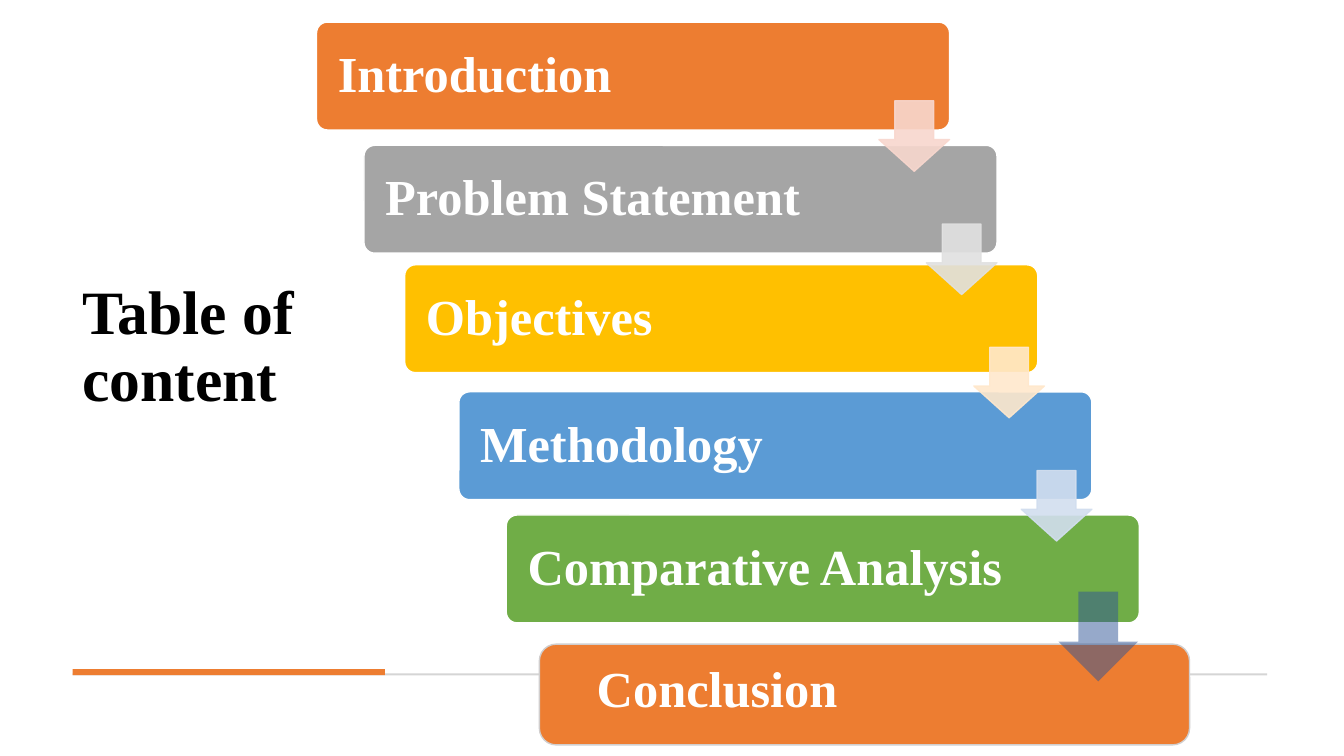
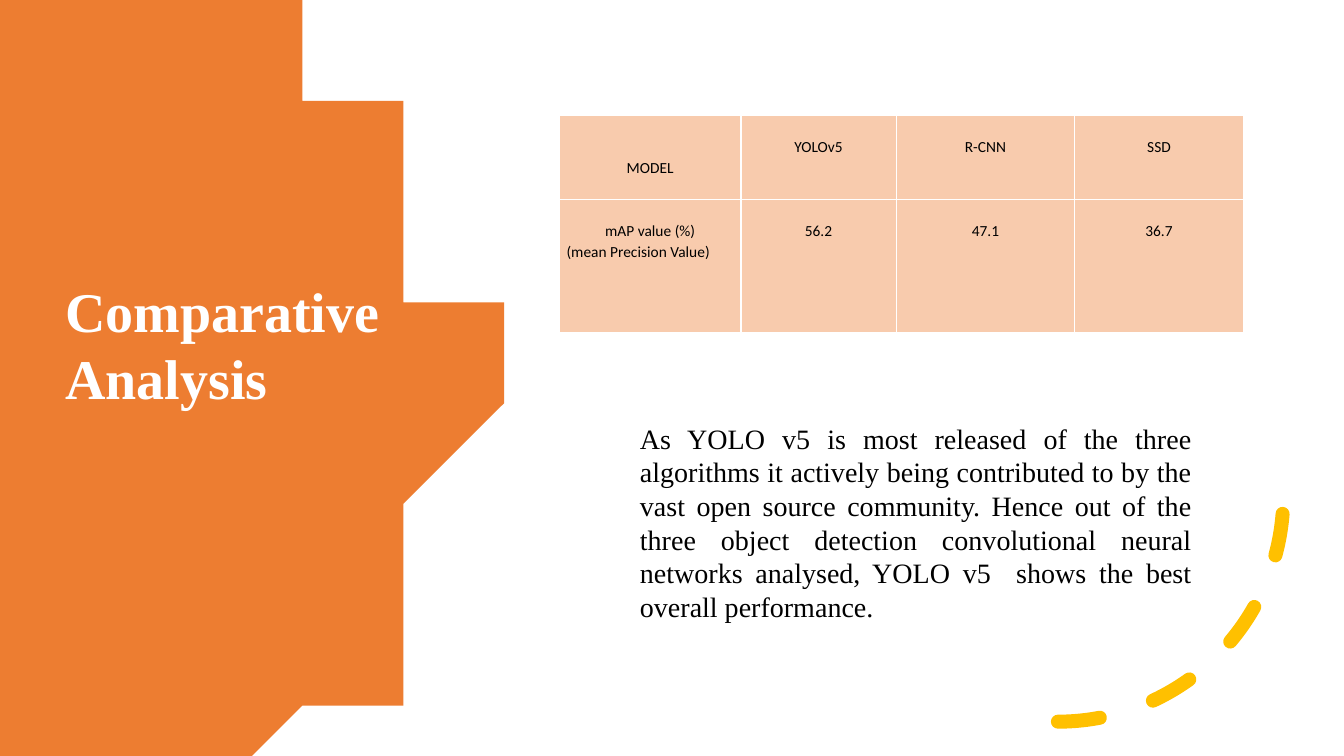
from math import asin, cos, sin

from lxml import etree
from pptx import Presentation
from pptx.dml.color import RGBColor
from pptx.enum.dml import MSO_LINE
from pptx.enum.shapes import MSO_SHAPE
from pptx.enum.text import MSO_ANCHOR, PP_ALIGN
from pptx.oxml.ns import qn
from pptx.util import Inches, Pt

RECTANGLE, ROUNDED = MSO_SHAPE.RECTANGLE, MSO_SHAPE.ROUNDED_RECTANGLE
DOWN_ARROW, ARC = MSO_SHAPE.DOWN_ARROW, MSO_SHAPE.ARC
MIDDLE, TOP = MSO_ANCHOR.MIDDLE, MSO_ANCHOR.TOP
LEFT, CENTER, JUSTIFY = PP_ALIGN.LEFT, PP_ALIGN.CENTER, PP_ALIGN.JUSTIFY

BLACK = RGBColor(0x00, 0x00, 0x00)
WHITE = RGBColor(0xFF, 0xFF, 0xFF)
ORANGE = RGBColor(0xED, 0x7D, 0x31)
GRAY = RGBColor(0xA5, 0xA5, 0xA5)
GOLD = RGBColor(0xFF, 0xC0, 0x00)
BLUE = RGBColor(0x5B, 0x9B, 0xD5)
GREEN = RGBColor(0x70, 0xAD, 0x47)
NAVY = RGBColor(0x2F, 0x55, 0x97)
PALE_ORANGE = RGBColor(0xF8, 0xD7, 0xCE)
PALE_GRAY = RGBColor(0xE1, 0xE1, 0xE1)
PALE_GOLD = RGBColor(0xFF, 0xE8, 0xCC)
PALE_BLUE = RGBColor(0xD2, 0xDE, 0xEF)
RULE_GRAY = RGBColor(0xD5, 0xD5, 0xD5)
OUTLINE_GRAY = RGBColor(0xD0, 0xCE, 0xCE)
PEACH = RGBColor(0xF8, 0xCB, 0xAD)

SERIF, SANS = "Times New Roman", "Calibri"

presentation = Presentation()
presentation.slide_width = Inches(13.33)
presentation.slide_height = Inches(7.5)
COLUMN = presentation.slide_width / 100   # one percent of the width
ROW = presentation.slide_height / 100     # one percent of the height
BLANK = presentation.slide_layouts[6]


def add_block(slide, kind, bounds, fill=None, outline=None):
    """Add a preset shape, or a text box if kind is None; bounds in percent."""
    left, top, width, height = bounds
    place = [round(left * COLUMN), round(top * ROW),
             round(width * COLUMN), round(height * ROW)]
    if kind is None:
        return slide.shapes.add_textbox(*place)
    shape = slide.shapes.add_shape(kind, *place)
    shape.shadow.inherit = False
    if fill is None:
        shape.fill.background()
    else:
        shape.fill.solid()
        shape.fill.fore_color.rgb = fill
    if outline is None:
        shape.line.fill.background()
    else:
        shape.line.color.rgb = outline
        shape.line.width = Pt(1)
    return shape


def write(frame, lines, size, color, font=SERIF, bold=False,
          anchor=TOP, spacing=1.0):
    """Fill a text frame with (text, alignment) lines."""
    frame.word_wrap = True
    frame.vertical_anchor = anchor
    for index, (text, alignment) in enumerate(lines):
        paragraph = frame.add_paragraph() if index else frame.paragraphs[0]
        paragraph.alignment = alignment
        paragraph.line_spacing = spacing
        run = paragraph.add_run()
        run.text = text
        run.font.name = font
        run.font.size = Pt(size)
        run.font.bold = bold
        run.font.color.rgb = color


# Slide 1: table of content
slide = presentation.slides.add_slide(BLANK)
title = add_block(slide, None, (5.4, 6.27, 23.25, 79.6))
write(title.text_frame, [("Table of content", LEFT)], 44, BLACK,
      bold=True, anchor=MIDDLE, spacing=0.9)
add_block(slide, RECTANGLE, (5.4, 89.07, 88.88, 0.27), RULE_GRAY)
add_block(slide, RECTANGLE, (5.4, 88.53, 23.25, 0.8), ORANGE)

# Staircase of bars; the third sits slightly up and to the left
STEP_X, STEP_Y = 3.53, 16.3
BARS = [
    ("Introduction", ORANGE, 0),
    ("Problem Statement", GRAY, 0),
    ("Objectives", GOLD, 0.5),
    ("Methodology", BLUE, 0),
    ("Comparative Analysis", GREEN, 0),
]
for step, (label, color, nudge) in enumerate(BARS):
    bounds = (23.55 + step * STEP_X - nudge, 2.93 + step * STEP_Y - nudge,
              47.1, 14.27)
    bar = add_block(slide, ROUNDED, bounds, color, WHITE)
    bar.adjustments[0] = 0.1
    bar.text_frame.margin_left = Inches(0.18)
    write(bar.text_frame, [(label, LEFT)], 36, WHITE,
          bold=True, anchor=MIDDLE, spacing=0.9)

# Closing bar
conclusion = add_block(slide, ROUNDED, (40.13, 85.2, 48.38, 13.33),
                       ORANGE, OUTLINE_GRAY)
conclusion.text_frame.margin_left = Inches(0.52)
conclusion.text_frame.margin_bottom = Inches(0.2)
write(conclusion.text_frame, [("Conclusion", LEFT)], 36, WHITE,
      bold=True, anchor=MIDDLE)

# Translucent arrows between the bars
arrows = [
    ((65.4 + step * STEP_X, 13.33 + step * STEP_Y, 5.25, 9.33),
     color, color, 90, (0.55, 0.45))
    for step, color in enumerate([PALE_ORANGE, PALE_GRAY, PALE_GOLD, PALE_BLUE])
]
arrows.append(((78.75, 78.27, 5.93, 11.87), NAVY, None, 50, (0.5, 0.5)))
for bounds, fill, outline, opacity, (shaft, head) in arrows:
    arrow = add_block(slide, DOWN_ARROW, bounds, fill, outline)
    arrow.adjustments[0] = shaft
    arrow.adjustments[1] = head
    for color_element in arrow._element.spPr.iter(qn("a:srgbClr")):
        alpha = etree.SubElement(color_element, qn("a:alpha"))
        alpha.set("val", str(opacity * 1000))

# Slide 2: comparative analysis
slide = presentation.slides.add_slide(BLANK)

# Circle segment cut off by the slide's edges
CENTER_X, RADIUS, SEGMENTS = 0.15, 4.41, 90
middle_y = 3.75
half_angle = asin(middle_y / RADIUS)
angles = [half_angle * (2 * index / SEGMENTS - 1) for index in range(SEGMENTS + 1)]
edge = [(CENTER_X + RADIUS * cos(angle), middle_y + RADIUS * sin(angle))
        for angle in angles]
builder = slide.shapes.build_freeform(0, 0, scale=Inches(1))
builder.add_line_segments(edge + [(0, 2 * middle_y)], close=True)
segment = builder.convert_to_shape()
segment.shadow.inherit = False
segment.fill.solid()
segment.fill.fore_color.rgb = ORANGE
segment.line.fill.background()

# Dashed arc with round ends, running from the bottom to the right
arc = add_block(slide, ARC, (61.95, 35.87, 33.53, 59.6), outline=GOLD)
arc.line.width = Pt(10)
arc.line.dash_style = MSO_LINE.DASH
arc.line._get_or_add_ln().set("cap", "rnd")
arc._element.spPr.find(qn("a:xfrm")).set("flipV", "1")

# Table of scores: each cell has its lines and the free lines above them
COLUMN_SHARES = [13.5, 11.55, 13.3, 12.53]
ROW_SHARES = [11.2, 17.6]
LINE_HEIGHT = 0.21
CELLS = [
    [([("MODEL", CENTER)], 2), ([("YOLOv5", CENTER)], 1),
     ([("R-CNN", CENTER)], 1), ([("SSD", CENTER)], 1)],
    [([("mAP value (%)", CENTER), ("(mean Precision Value)", LEFT)], 1),
     ([("56.2", CENTER)], 1), ([("47.1", CENTER)], 1), ([("36.7", CENTER)], 1)],
]
table = slide.shapes.add_table(
    len(ROW_SHARES), len(COLUMN_SHARES),
    round(41.63 * COLUMN), round(15.2 * ROW),
    round(sum(COLUMN_SHARES) * COLUMN), round(sum(ROW_SHARES) * ROW)).table
table.first_row = False
table.horz_banding = False
for column, share in zip(table.columns, COLUMN_SHARES):
    column.width = round(share * COLUMN)
for row, share, contents in zip(table.rows, ROW_SHARES, CELLS):
    row.height = round(share * ROW)
    for cell, (lines, free_lines) in zip(row.cells, contents):
        cell.fill.solid()
        cell.fill.fore_color.rgb = PEACH
        cell.margin_left = cell.margin_right = Inches(0.07)
        cell.margin_top = Inches(free_lines * LINE_HEIGHT)
        cell.margin_bottom = 0
        write(cell.text_frame, lines, 11, BLACK, font=SANS, spacing=1.07)

# Title and conclusion
title = add_block(slide, None, (4.13, 35.87, 25.95, 19.33))
write(title.text_frame, [("Comparative Analysis", LEFT)], 40, WHITE, bold=True)
body = add_block(slide, None, (46.88, 55.07, 42.53, 32.27))
write(body.text_frame, [(
    "As YOLO v5 is most released of the three algorithms it actively being "
    "contributed to by the vast open source community. Hence out of the three "
    "object detection convolutional neural networks analysed, YOLO v5  shows "
    "the best overall performance.", JUSTIFY)], 20, BLACK)

presentation.save("out.pptx")
